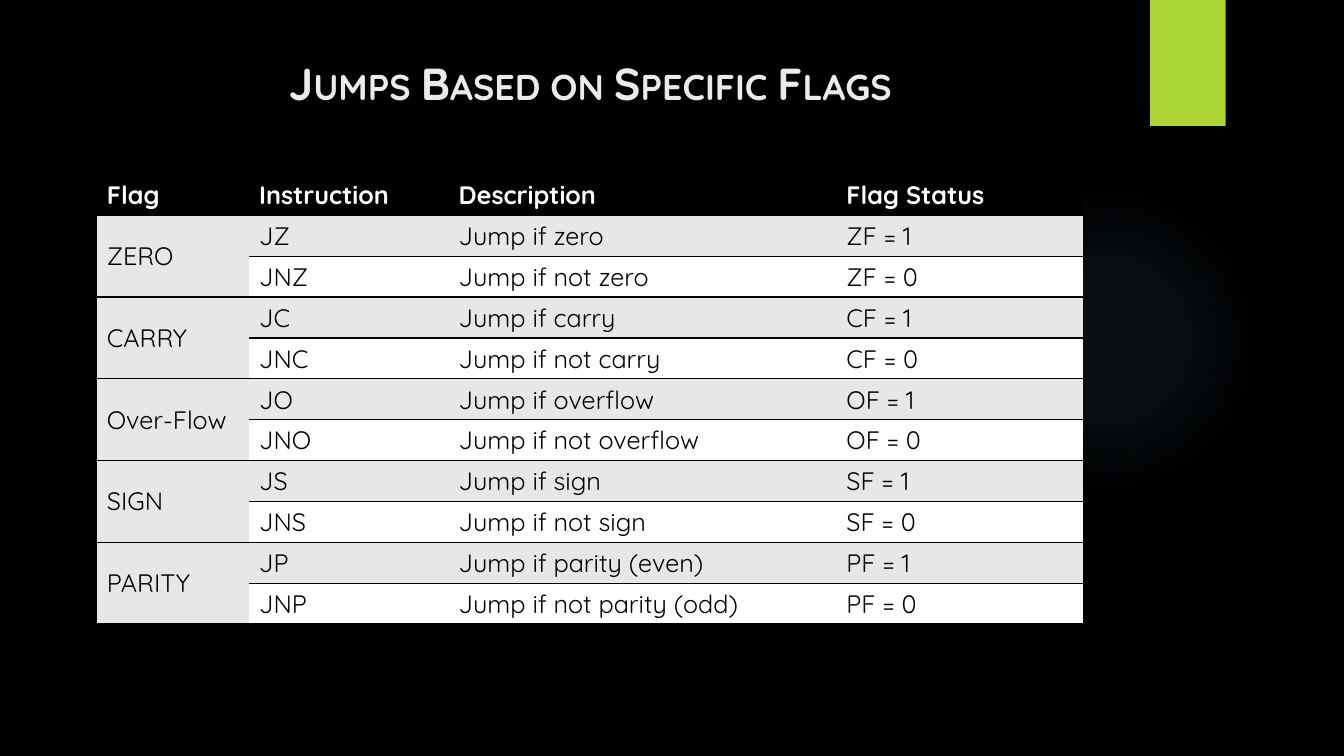
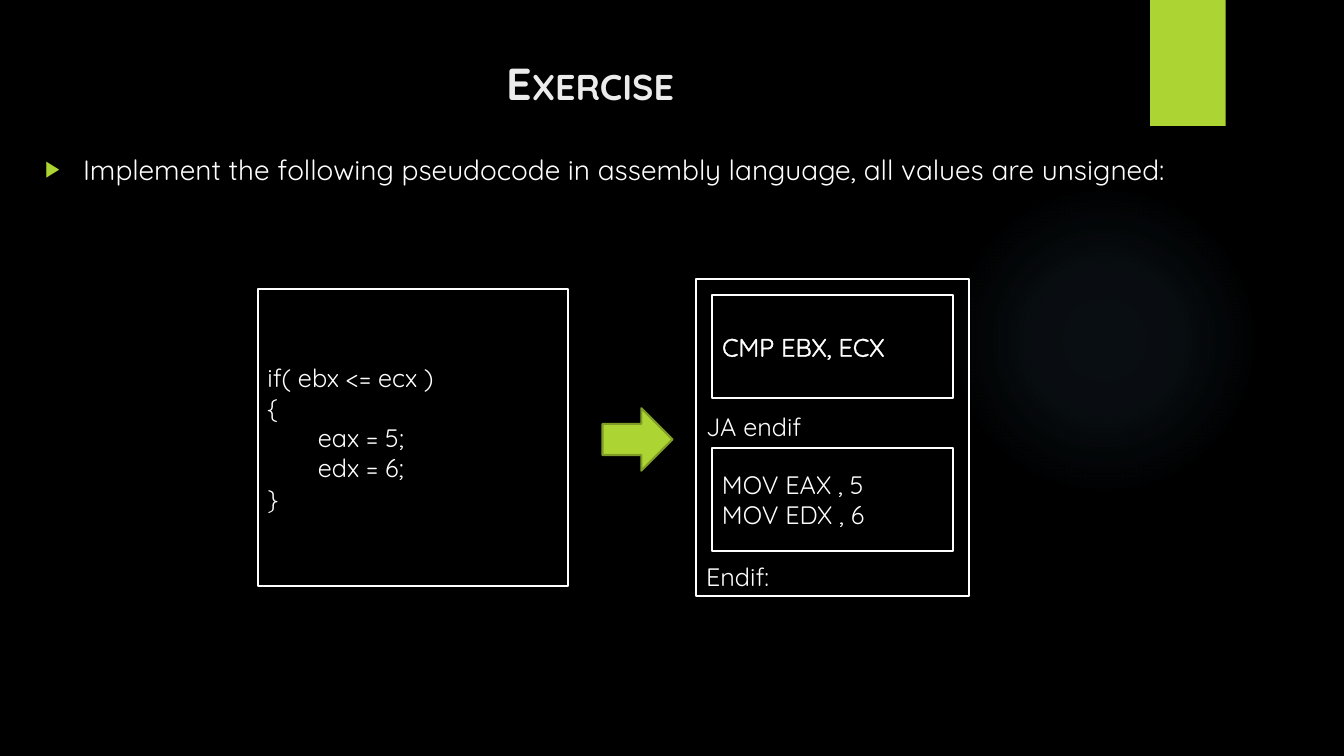
from lxml import etree
from pptx import Presentation
from pptx.dml.color import RGBColor
from pptx.enum.shapes import MSO_SHAPE
from pptx.enum.text import MSO_ANCHOR, PP_ALIGN
from pptx.oxml import parse_xml
from pptx.oxml.ns import qn
from pptx.util import Pt

RECTANGLE, ELLIPSE, ARROW = MSO_SHAPE.RECTANGLE, MSO_SHAPE.OVAL, MSO_SHAPE.RIGHT_ARROW
TOP, MIDDLE, BOTTOM = MSO_ANCHOR.TOP, MSO_ANCHOR.MIDDLE, MSO_ANCHOR.BOTTOM
LEFT, CENTER, JUSTIFY = PP_ALIGN.LEFT, PP_ALIGN.CENTER, PP_ALIGN.JUSTIFY
NAMESPACE = 'xmlns:a="http://schemas.openxmlformats.org/drawingml/2006/main"'
PLAIN_TABLE = "{2D5ABB26-0587-4C30-8999-92F81FD0307C}"
BLACK, WHITE, SOFT_WHITE, GRAY = "000000", "FFFFFF", "EBEBEB", "E7E7E7"
GREEN, DARK_GREEN, GLOW = "ACD433", "7F9D26", "7AC4F0"

FLAGS = [
    ("ZERO", "Z", "zero", "zero"),
    ("CARRY", "C", "carry", "carry"),
    ("Over-Flow", "O", "overflow", "overflow"),
    ("SIGN", "S", "sign", "sign"),
    ("PARITY", "P", "parity (even)", "parity (odd)"),
]


def color(value):
    """Turn a hex string into a colour."""
    return RGBColor.from_string(value)


class Deck:
    """Hold the style and the current slide."""

    font = "Quicksand"

    def __init__(self):
        """Start a widescreen presentation."""
        self.presentation = Presentation()
        self.presentation.slide_width = Pt(960)
        self.presentation.slide_height = Pt(540)
        self.slide = None

    def add_slide(self, title):
        """Add a slide with the shared background, accents and title."""
        self.slide = self.presentation.slides.add_slide(self.presentation.slide_layouts[6])
        self.slide.background.fill.solid()
        self.slide.background.fill.fore_color.rgb = color(BLACK)
        self.glow(677.5, 131.8, 221.8)
        self.shape(RECTANGLE, 821.5, 0, 54, 90, fill=GREEN)
        frame = self.text(51, 36, 741, 63, title, 32, SOFT_WHITE, CENTER)
        run = frame.paragraphs[0].runs[0]
        run.font.bold = True
        run.font._element.set("cap", "small")

    def shape(self, kind, left, top, width, height, fill=None, line=None):
        """Add a preset shape."""
        shape = self.slide.shapes.add_shape(kind, Pt(left), Pt(top), Pt(width), Pt(height))
        shape.shadow.inherit = False
        if fill:
            shape.fill.solid()
            shape.fill.fore_color.rgb = color(fill)
        else:
            shape.fill.background()
        if line:
            shape.line.color.rgb = color(line)
            shape.line.width = Pt(1.5)
        else:
            shape.line.fill.background()
        return shape

    def glow(self, left, top, size):
        """Add a soft radial light."""
        shape = self.shape(ELLIPSE, left, top, size, size)
        stops = "".join(
            f'<a:gs pos="{place}000"><a:srgbClr val="{GLOW}">'
            f'<a:alpha val="{alpha}000"/></a:srgbClr></a:gs>'
            for place, alpha in ((0, 7), (36, 6), (69, 0), (100, 0))
        )
        gradient = parse_xml(
            f'<a:gradFill {NAMESPACE}><a:gsLst>{stops}</a:gsLst><a:path path="circle">'
            '<a:fillToRect l="50000" t="50000" r="50000" b="50000"/></a:path></a:gradFill>'
        )
        properties = shape._element.spPr
        properties.replace(properties.find(qn("a:noFill")), gradient)

    def fill_text(self, frame, text, size, ink, align=LEFT, anchor=TOP):
        """Fill a text frame and format its runs."""
        frame.text = text
        frame.word_wrap = True
        frame.vertical_anchor = anchor
        for paragraph in frame.paragraphs:
            paragraph.alignment = align
            for run in paragraph.runs:
                run.font.name = self.font
                run.font.size = Pt(size)
                run.font.color.rgb = color(ink)
        return frame

    def text(self, left, top, width, height, text, size, ink, align):
        """Add a text box."""
        box = self.slide.shapes.add_textbox(Pt(left), Pt(top), Pt(width), Pt(height))
        return self.fill_text(box.text_frame, text, size, ink, align)

    def bullet(self, left, top, width, height, text):
        """Add a bulleted statement."""
        frame = self.text(left, top, width, height, text, 20, WHITE, JUSTIFY)
        properties = frame.paragraphs[0]._p.get_or_add_pPr()
        properties.set("marL", str(Pt(27)))
        properties.set("indent", str(-Pt(27)))
        bullet_color = etree.SubElement(properties, qn("a:buClr"))
        etree.SubElement(bullet_color, qn("a:srgbClr"), val=GREEN)
        etree.SubElement(properties, qn("a:buSzPct"), val="80000")
        etree.SubElement(properties, qn("a:buFont"), typeface="Arial")
        etree.SubElement(properties, qn("a:buChar"), char="▶")

    def code(self, left, top, width, height, text, anchor=MIDDLE):
        """Add an outlined box of code."""
        shape = self.shape(RECTANGLE, left, top, width, height, line=WHITE)
        return self.fill_text(shape.text_frame, text, 18, WHITE, anchor=anchor)

    def cell(self, cell, text, fill, ink):
        """Set the text and paint of a table cell ruled above and below."""
        frame = self.fill_text(cell.text_frame, text, 18, ink)
        cell.vertical_anchor = MIDDLE
        for run in frame.paragraphs[0].runs:
            run.font.bold = ink == WHITE
        properties = cell._tc.get_or_add_tcPr()
        for side in ("a:lnT", "a:lnB"):
            line = etree.SubElement(properties, qn(side), w=str(Pt(1)))
            paint = etree.SubElement(line, qn("a:solidFill"))
            etree.SubElement(paint, qn("a:srgbClr"), val=BLACK)
        cell.fill.solid()
        cell.fill.fore_color.rgb = color(fill)

    def table(self, left, top, widths, row_height, rows):
        """Add a table whose first column joins rows in pairs."""
        frame = self.slide.shapes.add_table(
            len(rows), len(widths), Pt(left), Pt(top), Pt(sum(widths)), Pt(row_height * len(rows))
        )
        table = frame.table
        table._tbl.tblPr.find(qn("a:tableStyleId")).text = PLAIN_TABLE
        for column, width in zip(table.columns, widths):
            column.width = Pt(width)
        for row_index, row in enumerate(rows):
            table.rows[row_index].height = Pt(row_height)
            for column_index, text in enumerate(row):
                if row_index == 0:
                    fill, ink = BLACK, WHITE
                else:
                    shaded = column_index == 0 or row_index % 2
                    fill, ink = (GRAY if shaded else WHITE), BLACK
                self.cell(table.cell(row_index, column_index), text, fill, ink)
        for row_index in range(1, len(rows), 2):
            table.cell(row_index, 0).merge(table.cell(row_index + 1, 0))


def jumps_slide(deck):
    """Build the table of jumps."""
    deck.add_slide("Jumps Based on Specific Flags")
    rows = [("Flag", "Instruction", "Description", "Flag Status")]
    for name, letter, when_set, when_clear in FLAGS:
        rows.append((name, f"J{letter}", f"Jump if {when_set}", f"{letter}F = 1"))
        rows.append(("", f"JN{letter}", f"Jump if not {when_clear}", f"{letter}F = 0"))
    deck.table(69.2, 124.6, (108.7, 142.6, 277, 176), 29.2, rows)


def exercise_slide(deck):
    """Build the pseudocode exercise."""
    deck.add_slide("Exercise")
    deck.bullet(
        25.2, 105.1, 879, 40,
        "Implement the following pseudocode in assembly language, all values are unsigned:",
    )
    pseudocode = deck.code(
        184, 206.3, 222, 212.3, "if( ebx <= ecx )\n{\neax = 5;\nedx = 6;\n}"
    )
    for paragraph in pseudocode.paragraphs[2:4]:
        paragraph._p.get_or_add_pPr().set("marL", str(Pt(36)))
    deck.shape(ARROW, 430.4, 291.6, 50, 44.6, fill=GREEN, line=DARK_GREEN)
    assembly = deck.code(497.3, 199.4, 195.2, 226.4, "JA endif\nEndif:", BOTTOM)
    assembly.paragraphs[1].space_before = Pt(85.4)
    compare = deck.code(508.6, 210.8, 172.2, 73.6, "CMP EBX, ECX")
    outline = parse_xml(
        f'<a:ln {NAMESPACE} w="{Pt(0.75)}"><a:solidFill>'
        f'<a:srgbClr val="{WHITE}"/></a:solidFill></a:ln>'
    )
    compare.paragraphs[0].runs[0].font._element.insert(0, outline)
    deck.code(508.6, 320.1, 172.2, 73.6, "MOV EAX , 5\nMOV EDX , 6")


def main():
    """Build and save the presentation."""
    deck = Deck()
    jumps_slide(deck)
    exercise_slide(deck)
    deck.presentation.save("out.pptx")


if __name__ == "__main__":
    main()
